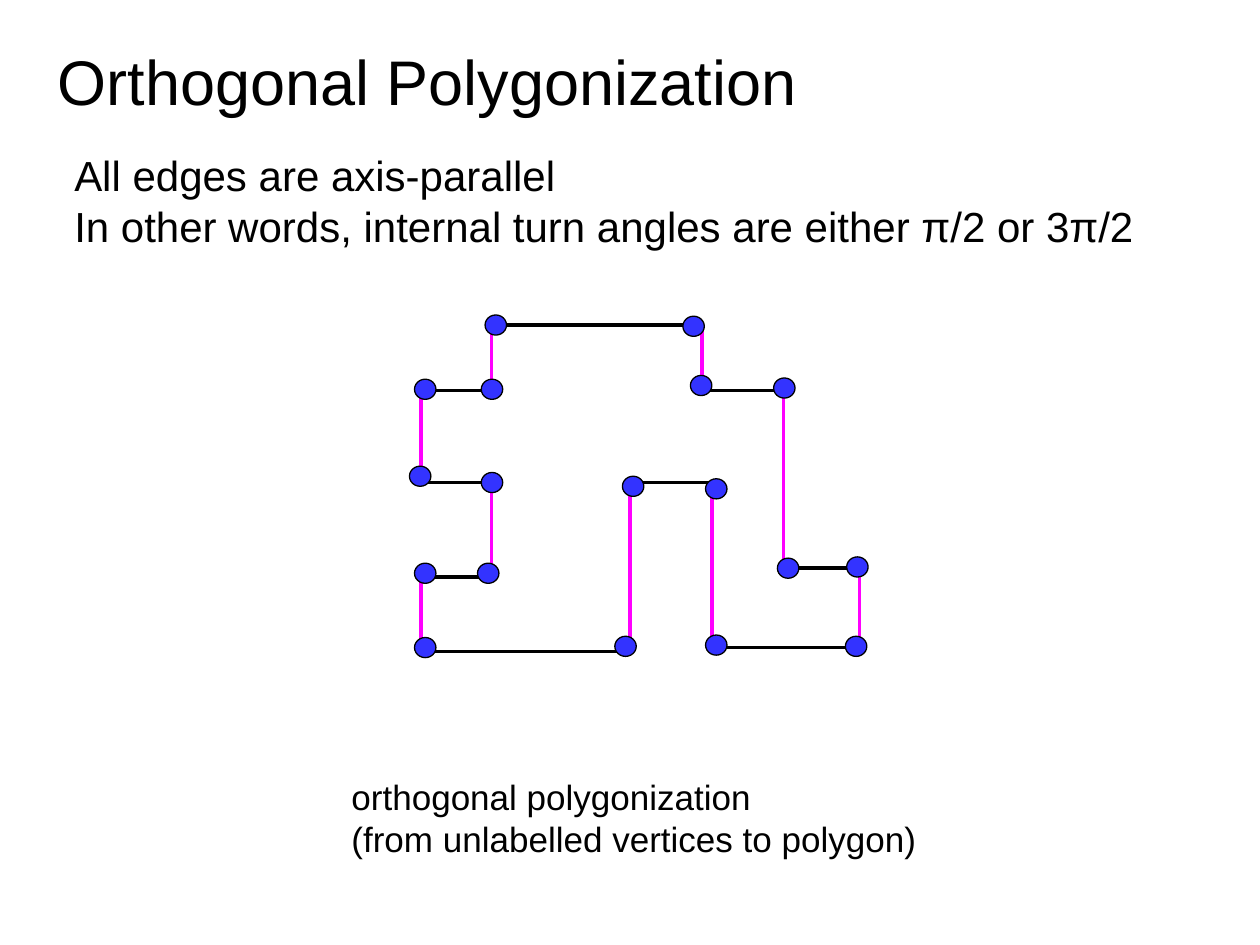
from itertools import chain

from lxml import etree
from pptx import Presentation
from pptx import util as u
from pptx.dml import color
from pptx.enum import shapes, text
from pptx.oxml import ns

COLUMNS = {"a": 3.34, "b": 3.9, "c": 5, "d": 5.57, "e": 5.65, "f": 6.22, "g": 6.82}
ROWS = {1: 2.58, 2: 3.1, 3: 3.83, 4: 4.51, 5: 4.58, 6: 5.14, 7: 5.17}
DOT_SIZE = (0.17, 0.16)
CORNERS = [
    ("b", 1, 3.85, 2.5), ("d", 1, 5.42, 2.51), ("d", 2, 5.48, 2.98),
    ("f", 2, 6.14, 3), ("f", 4, 6.17, 4.43), ("g", 4, 6.72, 4.42),
    ("g", 6, 6.71, 5.05), ("e", 6, 5.6, 5.04), ("e", 3, 5.6, 3.8),
    ("c", 3, 4.94, 3.78), ("c", 7, 4.88, 5.05), ("a", 7, 3.29, 5.06),
    ("a", 5, 3.29, 4.47), ("b", 5, 3.79, 4.47), ("b", 3, 3.82, 3.75),
    ("a", 3, 3.25, 3.7), ("a", 2, 3.29, 3.01), ("b", 2, 3.82, 3.01),
]


def rgb(value):
    """Return the colour for a hex string."""
    return color.RGBColor.from_string(value)


def inches(*values):
    """Convert several lengths from inches."""
    return [u.Inches(value) for value in values]


def write(shape, lines, size, margins):
    """Write left-aligned black lines, one paragraph each."""
    frame = shape.text_frame
    frame.word_wrap = True
    frame.vertical_anchor = text.MSO_ANCHOR.MIDDLE
    frame.margin_left, frame.margin_top, frame.margin_right, frame.margin_bottom = inches(*margins)
    frame.text = "\n".join(lines)
    for paragraph in frame.paragraphs:
        paragraph.alignment = text.PP_ALIGN.LEFT
        paragraph.font.name = "Arial"
        paragraph.font.size = u.Pt(size)
        paragraph.font.color.rgb = rgb("000000")


def add_title(slide, title):
    """Add the slide's heading."""
    box = slide.shapes.add_textbox(*inches(0.36, 0.24, 7.51, 0.79))
    write(box, [title], 36, (0.1, 0.05, 0.1, 0.05))


def add_panel(slide, bounds, lines, size):
    """Add a white rectangle that fits its text."""
    panel = slide.shapes.add_shape(shapes.MSO_SHAPE.RECTANGLE, *inches(*bounds))
    panel.shadow.inherit = False
    panel.fill.solid()
    panel.fill.fore_color.rgb = rgb("FFFFFF")
    panel.line.fill.background()
    write(panel, lines, size, (0.06,) * 4)
    panel.text_frame.auto_size = text.MSO_AUTO_SIZE.SHAPE_TO_FIT_TEXT


def add_edge(slide, start, end, line_color):
    """Join two polygon corners."""
    points = chain.from_iterable((COLUMNS[column], ROWS[row]) for column, row, *_ in (start, end))
    edge = slide.shapes.add_connector(shapes.MSO_CONNECTOR.STRAIGHT, *inches(*points))
    edge.line.color.rgb = rgb(line_color)
    edge.line.width = u.Pt(2)
    etree.SubElement(edge._element.spPr, ns.qn("a:effectLst"))


def add_vertex(slide, left, top):
    """Add a blue dot for one vertex."""
    dot = slide.shapes.add_shape(shapes.MSO_SHAPE.OVAL, *inches(left, top, *DOT_SIZE))
    dot.shadow.inherit = False
    dot.fill.solid()
    dot.fill.fore_color.rgb = rgb("3333FF")
    dot.line.color.rgb = rgb("000000")
    dot.line.width = u.Pt(0.75)


def add_polygon(slide):
    """Draw horizontal edges, then vertical edges, then vertices."""
    edges = list(zip(CORNERS, CORNERS[1:] + CORNERS[:1]))
    for first, line_color in enumerate(("000000", "FF00FF")):
        for start, end in edges[first::2]:
            add_edge(slide, start, end, line_color)
    for _, _, left, top in CORNERS:
        add_vertex(slide, left, top)


def main():
    """Build and save the slide."""
    presentation = Presentation()
    presentation.slide_width, presentation.slide_height = inches(10, 7.5)
    slide = presentation.slides.add_slide(presentation.slide_layouts[6])
    add_title(slide, "Orthogonal Polygonization")
    add_panel(slide, (0.53, 1.13, 9.33, 0.92), [
        "All edges are axis-parallel",
        "In other words, internal turn angles are either π/2 or 3π/2",
    ], 24)
    add_panel(slide, (2.73, 6.09, 4.76, 0.79), [
        "orthogonal polygonization",
        "(from unlabelled vertices to polygon)",
    ], 20)
    add_polygon(slide)
    presentation.save("out.pptx")


if __name__ == "__main__":
    main()
